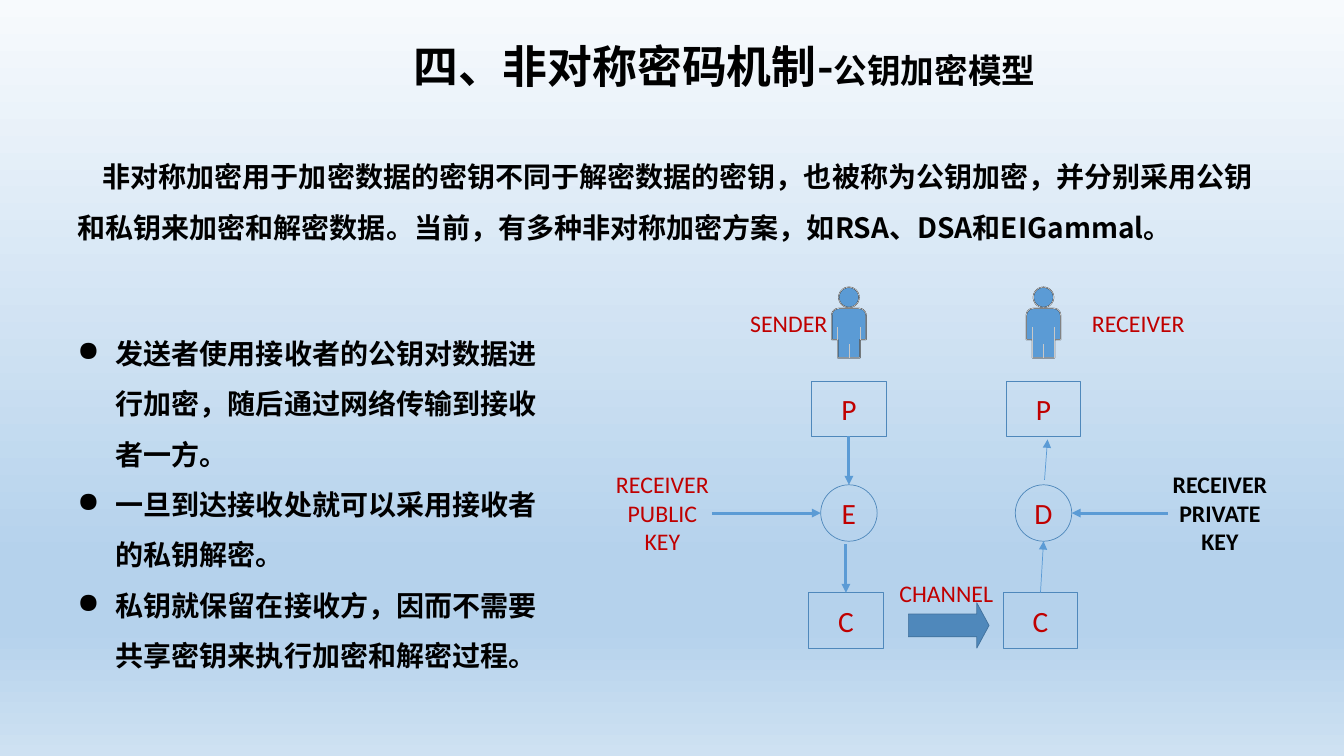
import math
from copy import deepcopy

from lxml import etree
from pptx import Presentation
from pptx.dml.color import RGBColor
from pptx.enum.shapes import MSO_CONNECTOR, MSO_SHAPE
from pptx.enum.text import MSO_ANCHOR, MSO_AUTO_SIZE, PP_ALIGN
from pptx.oxml.ns import qn
from pptx.util import Inches, Pt

RECTANGLE, ELLIPSE, RIGHT_ARROW = MSO_SHAPE.RECTANGLE, MSO_SHAPE.OVAL, MSO_SHAPE.RIGHT_ARROW
STRAIGHT = MSO_CONNECTOR.STRAIGHT
LEFT, CENTER = PP_ALIGN.LEFT, PP_ALIGN.CENTER
TOP, MIDDLE = MSO_ANCHOR.TOP, MSO_ANCHOR.MIDDLE
GROW = MSO_AUTO_SIZE.SHAPE_TO_FIT_TEXT

CHINESE, LATIN = "Noto Sans CJK SC", "Calibri"
BLACK, RED, BLUE, EDGE = "000000", "C00000", "5B9BD5", "4F88BB"
BACKGROUND = [(0, "F7FAFD"), (74, "B5D2EC"), (83, "B5D2EC"), (100, "CEE1F2")]

TITLE, SUBTITLE = "四、非对称密码机制-", "公钥加密模型"
INTRO = ("非对称加密用于加密数据的密钥不同于解密数据的密钥，也被称为公钥加密，"
         "并分别采用公钥和私钥来加密和解密数据。当前，有多种非对称加密方案，如RSA、DSA和EIGammal。")
STEPS = [
    "发送者使用接收者的公钥对数据进行加密，随后通过网络传输到接收者一方。",
    "一旦到达接收处就可以采用接收者的私钥解密。",
    "私钥就保留在接收方，因而不需要共享密钥来执行加密和解密过程。",
]
SENDER_X, RECEIVER_X = 8.42, 10.35


def color(value):
    return RGBColor.from_string(value)


def paint_background(page):
    fill = page.background.fill
    fill.gradient()
    fill.gradient_angle = 270
    stop_list = page.element.find(".//" + qn("a:gsLst"))
    for _ in range(len(BACKGROUND) - len(stop_list)):
        stop_list.append(deepcopy(stop_list[0]))
    for stop, (percent, value) in zip(fill.gradient_stops, BACKGROUND):
        stop.position = percent / 100
        stop.color.rgb = color(value)


def format_span(span, size, font, value, bold=False):
    span.font.size = Pt(size)
    span.font.name = font
    span.font.bold = bold
    span.font.color.rgb = color(value)
    etree.SubElement(span.font._element, qn("a:ea"), typeface=font)


def add_chinese(page, place, lines, size=20, margin=0, first=0, bullet=None):
    """Add a wrapping box of bold paragraphs; margin and first line are in inches."""
    box = page.shapes.add_textbox(*map(Inches, place))
    frame = box.text_frame
    frame.word_wrap = True
    frame.auto_size = GROW
    frame.text = "\n".join(lines)
    for para in frame.paragraphs:
        properties = para._p.get_or_add_pPr()
        properties.set("marL", str(Inches(margin)))
        properties.set("indent", str(Inches(first)))
        if bullet:
            etree.SubElement(properties, qn("a:buChar"), char=bullet)
        para.line_spacing = 1.5
        for span in para.runs:
            format_span(span, size, CHINESE, BLACK, True)
    return box


def fill_frame(frame, text, size, value, bold, align, anchor):
    frame.margin_left = frame.margin_right = frame.margin_top = frame.margin_bottom = 0
    frame.word_wrap = False
    frame.vertical_anchor = anchor
    frame.text = text
    for para in frame.paragraphs:
        para.alignment = align
        for span in para.runs:
            format_span(span, size, LATIN, value, bold)


def add_label(page, place, text, value=RED, bold=False, align=LEFT):
    box = page.shapes.add_textbox(*map(Inches, place))
    fill_frame(box.text_frame, text, 17, value, bold, align, TOP)


def style_shape(shape, fill, line, width):
    shape.shadow.inherit = False
    if fill:
        shape.fill.solid()
        shape.fill.fore_color.rgb = color(fill)
    else:
        shape.fill.background()
    shape.line.color.rgb = color(line)
    shape.line.width = Pt(width)


def add_node(page, kind, center_x, top, width, height, letter):
    node = page.shapes.add_shape(kind, Inches(center_x - width / 2), Inches(top),
                                 Inches(width), Inches(height))
    style_shape(node, None, EDGE, 0.5)
    fill_frame(node.text_frame, letter, 21, RED, False, CENTER, MIDDLE)
    return node


def add_arrow(page, start, end, width, source=None, target=None):
    """Add an arrow, joined to the bottom or top of a rectangle where one is given."""
    arrow = page.shapes.add_connector(STRAIGHT, *map(Inches, start + end))
    if source:
        arrow.begin_connect(*source)
    if target:
        arrow.end_connect(*target)
    arrow.line.color.rgb = color(BLUE)
    arrow.line.width = Pt(width)
    etree.SubElement(arrow.line._get_or_add_ln(), qn("a:tailEnd"), type="triangle")
    etree.SubElement(arrow._element.spPr, qn("a:effectLst"))


def arc(center_x, center_y, radius, start, end, steps):
    angles = [math.radians(start + (end - start) * i / steps) for i in range(steps + 1)]
    return [(center_x + radius * math.cos(a), center_y + radius * math.sin(a)) for a in angles]


def add_outline(page, contours):
    """Build one freeform from (points, closed) contours given in inches."""
    builder = None
    for points, closed in contours:
        first, *others = [(Inches(x), Inches(y)) for x, y in points]
        if builder is None:
            builder = page.shapes.build_freeform(*first, scale=1.0)
        else:
            builder.move_to(*first)
        builder.add_line_segments(others, close=closed)
    return builder.convert_to_shape()


def add_person(page, x, top=2.85):
    shoulder, hip, foot = top + 0.28, top + 0.52, top + 0.7
    body = arc(x - 0.1, shoulder, 0.07, 180, 270, 6) + arc(x + 0.1, shoulder, 0.07, 270, 360, 6)
    body += [(x + 0.17, hip), (x + 0.11, hip), (x + 0.11, foot),
             (x - 0.11, foot), (x - 0.11, hip), (x - 0.17, hip)]
    figure = [(body, True), (arc(x, top + 0.1, 0.1, 0, 360, 36), True)]
    limbs = [([(x, foot), (x, top + 0.56)], False)]
    limbs += [([(x + side, hip), (x + side, top + 0.39)], False) for side in (-0.11, 0.11)]
    style_shape(add_outline(page, figure), BLUE, BLACK, 0)
    style_shape(add_outline(page, figure + limbs), None, "C8C8C8", 0.5)


def add_party(page, x, cipher_letter):
    """Add a person with plain text, cipher and ciphertext nodes; return both rectangles."""
    add_person(page, x)
    plain = add_node(page, RECTANGLE, x, 3.78, 0.74, 0.55, "P")
    add_node(page, ELLIPSE, x, 4.81, 0.56, 0.56, cipher_letter)
    secret = add_node(page, RECTANGLE, x - 0.03, 5.88, 0.74, 0.55, "C")
    return plain, secret


def add_channel(page):
    channel = page.shapes.add_shape(RIGHT_ARROW, *map(Inches, (9.01, 5.98, 0.8, 0.45)))
    channel.adjustments[0] = 0.5
    channel.adjustments[1] = 0.27
    style_shape(channel, EDGE, "41719C", 0.5)


def main():
    deck = Presentation()
    deck.slide_width, deck.slide_height = Inches(13.33), Inches(7.5)
    page = deck.slides.add_slide(deck.slide_layouts[6])
    paint_background(page)

    title = add_chinese(page, (3.5, 0.07, 8.33, 0.78), [TITLE], size=32, margin=0.5)
    subtitle = title.text_frame.paragraphs[0].add_run()
    subtitle.text = SUBTITLE
    format_span(subtitle, 24, CHINESE, BLACK, True)
    add_chinese(page, (0.67, 1.37, 12, 1.11), [INTRO], first=0.25)
    add_chinese(page, (0.67, 3.12, 4.96, 3.64), STEPS, margin=0.38, first=-0.38, bullet="●")

    sender_plain, sender_secret = add_party(page, SENDER_X, "E")
    _, receiver_secret = add_party(page, RECEIVER_X, "D")
    add_channel(page)

    add_arrow(page, (8.42, 4.33), (8.42, 4.81), 2.13, source=(sender_plain, 2))
    add_arrow(page, (8.39, 5.4), (8.39, 5.88), 2.13, target=(sender_secret, 0))
    add_arrow(page, (7.06, 5.09), (8.14, 5.09), 2.13)
    add_arrow(page, (11.58, 5.09), (10.63, 5.09), 2.13)
    add_arrow(page, (10.32, 5.88), (10.35, 5.37), 0.5, source=(receiver_secret, 0))
    add_arrow(page, (10.36, 4.76), (10.39, 4.36), 0.5)

    add_label(page, (7.44, 3.06, 0.95, 0.37), "SENDER")
    add_label(page, (10.83, 3.06, 1.12, 0.37), "RECEIVER")
    add_label(page, (8.92, 5.74, 1.06, 0.35), "CHANNEL")
    add_label(page, (6.1, 4.66, 0.94, 0.86), "RECEIVER\nPUBLIC\nKEY", align=CENTER)
    add_label(page, (11.63, 4.66, 0.94, 0.86), "RECEIVER\nPRIVATE\nKEY", BLACK, True, CENTER)

    deck.save("out.pptx")


if __name__ == "__main__":
    main()
